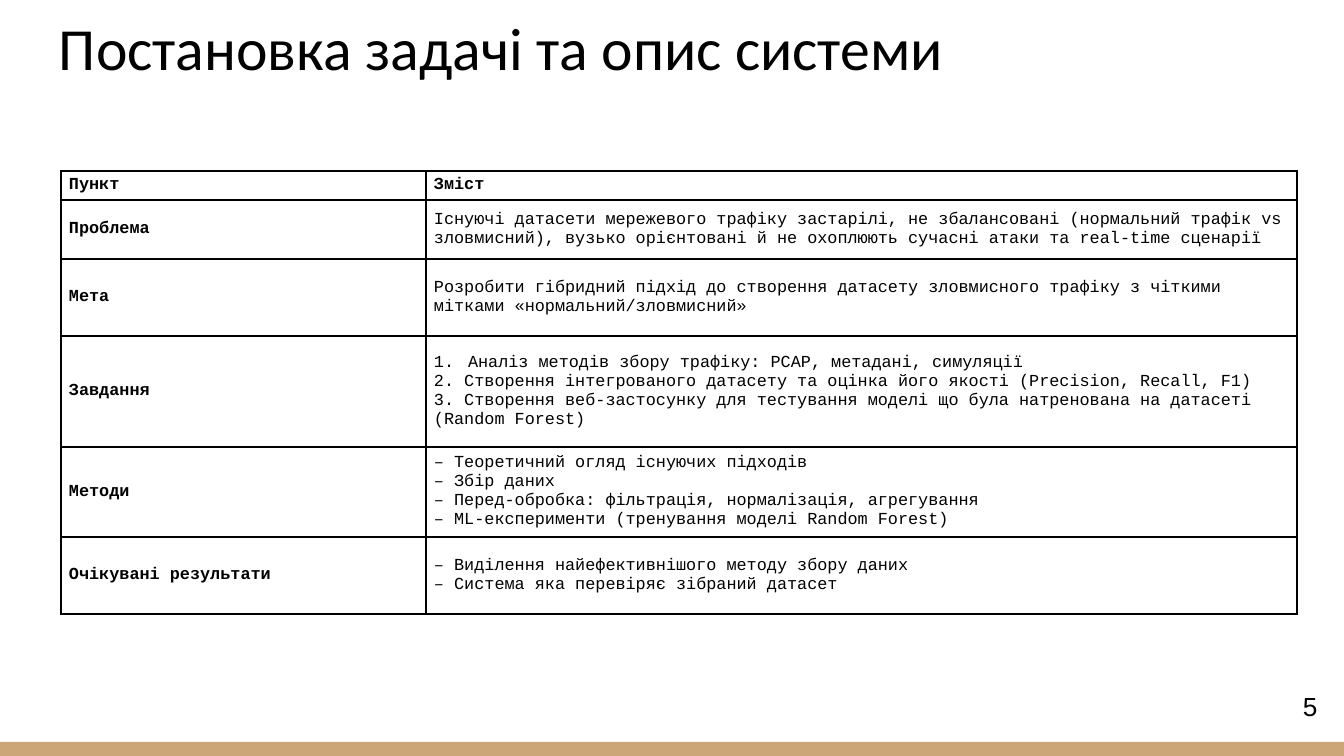
import pptx
import pptx.dml.color
import pptx.enum.shapes
import pptx.enum.text
import pptx.oxml.ns
import pptx.util
import lxml.etree

SCALE = 914400 / 134.4  # EMU in one px
ANCHOR = pptx.enum.text.MSO_ANCHOR
qn = pptx.oxml.ns.qn

BLACK, WHITE, TAN = "000000", "FFFFFF", "CCA677"
TITLE = {"name": "Calibri", "size": pptx.util.Pt(32)}
NUMBER = {"name": "Arial", "size": pptx.util.Pt(14)}
BODY = {"name": "Courier New", "size": pptx.util.Pt(9), "bold": False}
LABEL = {**BODY, "bold": True}

COLUMNS = [365, 871]
ROW_HEIGHTS = [29, 59, 77, 111, 90, 77]
ROWS = [
    ("Пункт", ["Зміст"]),
    ("Проблема", ["Існуючі датасети мережевого трафіку застарілі, не збалансовані "
                  "(нормальний трафік vs зловмисний), вузько орієнтовані й не охоплюють "
                  "сучасні атаки та real-time сценарії"]),
    ("Мета", ["Розробити гібридний підхід до створення датасету зловмисного трафіку "
              "з чіткими мітками «нормальний/зловмисний»"]),
    ("Завдання", ["Аналіз методів збору трафіку: PCAP, метадані, симуляції",
                  "2. Створення інтегрованого датасету та оцінка його якості "
                  "(Precision, Recall, F1)",
                  "3. Створення веб-застосунку для тестування моделі що була "
                  "натренована на датасеті (Random Forest)"]),
    ("Методи", ["– Теоретичний огляд існуючих підходів",
                "– Збір даних",
                "– Перед-обробка: фільтрація, нормалізація, агрегування",
                "– ML-експерименти (тренування моделі Random Forest)"]),
    ("Очікувані результати", ["– Виділення найефективнішого методу збору даних",
                              "– Система яка перевіряє зібраний датасет"]),
]
NUMBERED = (3, 1)  # row and column of the cell whose first line is auto-numbered


def px(length):
    return pptx.util.Emu(round(length * SCALE))


def color(value):
    return pptx.dml.color.RGBColor.from_string(value)


def apply(target, values):
    for name, value in values.items():
        setattr(target, name, value)


def write(frame, lines, font):
    for index, line in enumerate(lines):
        para = frame.paragraphs[0] if index == 0 else frame.add_paragraph()
        span = para.add_run()
        span.text = line
        apply(span.font, font)
        span.font.color.rgb = color(BLACK)


def add_text(page, box, line, font, layout):
    frame = page.shapes.add_textbox(*map(px, box)).text_frame
    margins = dict.fromkeys(
        ("margin_left", "margin_top", "margin_right", "margin_bottom"), px(13))
    apply(frame, {**margins, **layout})
    write(frame, [line], font)


def add_border(cell):
    properties = cell._tc.get_or_add_tcPr()
    for side in ("a:lnL", "a:lnR", "a:lnT", "a:lnB"):
        line = lxml.etree.SubElement(properties, qn(side), w=str(pptx.util.Pt(1)))
        fill = lxml.etree.SubElement(line, qn("a:solidFill"))
        lxml.etree.SubElement(fill, qn("a:srgbClr"), val=BLACK)


def number_paragraph(para, indent):
    properties = para._p.get_or_add_pPr()
    properties.set("marL", str(px(indent)))
    properties.set("indent", str(-px(indent)))
    bullet_color = lxml.etree.SubElement(properties, qn("a:buClr"))
    lxml.etree.SubElement(bullet_color, qn("a:srgbClr"), val=BLACK)
    lxml.etree.SubElement(properties, qn("a:buAutoNum"), type="arabicPeriod")


def add_footer(page, box):
    left, top, width, height = box
    # Bottom band
    band = page.shapes.add_shape(
        pptx.enum.shapes.MSO_SHAPE.RECTANGLE,
        px(left), px(top + height - 14), px(width), px(14))
    band.shadow.inherit = False
    band.fill.solid()
    band.fill.fore_color.rgb = color(TAN)
    band.line.fill.background()
    # Page number
    add_text(page, (left + width - 54, top, 42, 46), "5", NUMBER,
             {"word_wrap": False,
              "auto_size": pptx.enum.text.MSO_AUTO_SIZE.SHAPE_TO_FIT_TEXT})


def add_task_table(page, box):
    frame = page.shapes.add_table(len(ROWS), len(COLUMNS), *map(px, box))
    table = frame.table
    apply(table, {"first_row": False, "horz_banding": False})
    for column, width in zip(table.columns, COLUMNS):
        column.width = px(width)
    for row, height in zip(table.rows, ROW_HEIGHTS):
        row.height = px(height)

    layout = {"margin_left": px(8), "margin_right": px(8), "margin_top": px(4),
              "margin_bottom": px(4), "vertical_anchor": ANCHOR.MIDDLE}
    for row, (label, content) in enumerate(ROWS):
        for column, lines in enumerate(([label], content)):
            cell = table.cell(row, column)
            apply(cell, layout)
            add_border(cell)
            cell.fill.background()
            write(cell.text_frame, lines, LABEL if row == 0 or column == 0 else BODY)
    number_paragraph(table.cell(*NUMBERED).text_frame.paragraphs[0], 34)


def main():
    deck = pptx.Presentation()
    apply(deck, {"slide_width": px(1344), "slide_height": px(756)})
    page = deck.slides.add_slide(deck.slide_layouts[6])
    page.background.fill.solid()
    page.background.fill.fore_color.rgb = color(WHITE)

    add_footer(page, (0, 677, 1344, 79))
    add_text(page, (46, -27, 1252, 122), "Постановка задачі та опис системи", TITLE,
             {"word_wrap": True, "vertical_anchor": ANCHOR.BOTTOM})
    add_task_table(page, (61, 171, sum(COLUMNS), sum(ROW_HEIGHTS)))
    deck.save("out.pptx")


if __name__ == "__main__":
    main()
